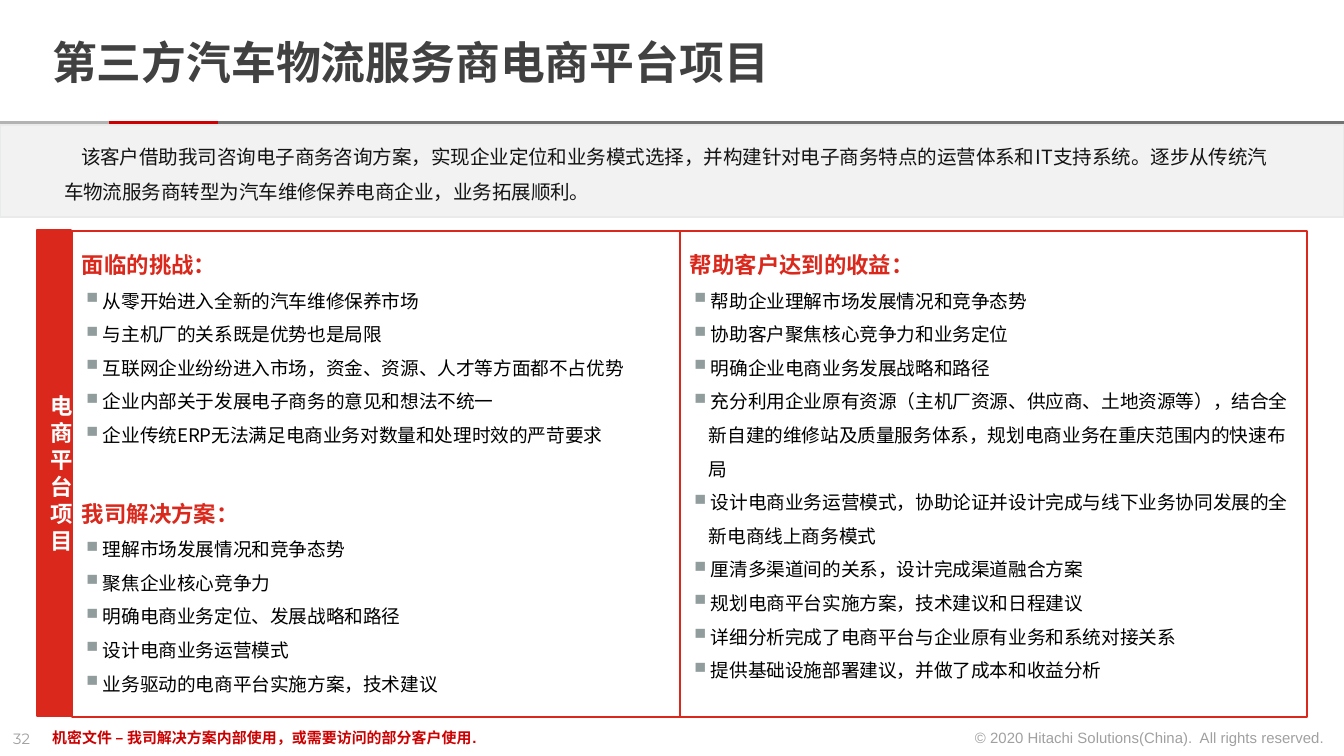
from lxml.etree import SubElement
from pptx import Presentation
from pptx.dml.color import RGBColor
from pptx.enum.shapes import MSO_SHAPE
from pptx.enum.text import MSO_ANCHOR, PP_ALIGN
from pptx.oxml.ns import qn
from pptx.util import Emu, Pt

FONT = "Noto Sans CJK SC"
RED = "DA291C"
DARK_RED = "CC0000"
GREY = "414141"
FAINT = "A0A0A0"
HEADING_PITCH = 21.6
BULLET_PITCH = 18

CHALLENGES = ("面临的挑战：", [
    "从零开始进入全新的汽车维修保养市场",
    "与主机厂的关系既是优势也是局限",
    "互联网企业纷纷进入市场，资金、资源、人才等方面都不占优势",
    "企业内部关于发展电子商务的意见和想法不统一",
    "企业传统ERP无法满足电商业务对数量和处理时效的严苛要求",
])
SOLUTION = ("我司解决方案：", [
    "理解市场发展情况和竞争态势",
    "聚焦企业核心竞争力",
    "明确电商业务定位、发展战略和路径",
    "设计电商业务运营模式",
    "业务驱动的电商平台实施方案，技术建议",
])
BENEFITS = ("帮助客户达到的收益：", [
    "帮助企业理解市场发展情况和竞争态势",
    "协助客户聚焦核心竞争力和业务定位",
    "明确企业电商业务发展战略和路径",
    "充分利用企业原有资源（主机厂资源、供应商、土地资源等），结合全新自建的维修站及质量服务体系，规划电商业务在重庆范围内的快速布局",
    "设计电商业务运营模式，协助论证并设计完成与线下业务协同发展的全新电商线上商务模式",
    "厘清多渠道间的关系，设计完成渠道融合方案",
    "规划电商平台实施方案，技术建议和日程建议",
    "详细分析完成了电商平台与企业原有业务和系统对接关系",
    "提供基础设施部署建议，并做了成本和收益分析",
])
INTRODUCTION = (
    "该客户借助我司咨询电子商务咨询方案，实现企业定位和业务模式选择，"
    "并构建针对电子商务特点的运营体系和IT支持系统。"
    "逐步从传统汽车物流服务商转型为汽车维修保养电商企业，业务拓展顺利。"
)


def px(value):
    return Emu(round(value * 914400 / 134.4))


def color(value):
    return RGBColor.from_string(value)


def format_paragraph(paragraph, size, ink, bold=False, font=FONT, align=PP_ALIGN.LEFT, pitch=None):
    paragraph.alignment = align
    if pitch:
        paragraph.line_spacing = Pt(pitch)
    for run in paragraph.runs:
        run.font.size = Pt(size)
        run.font.bold = bold
        run.font.color.rgb = color(ink)
        run.font.name = font
        SubElement(run._r.get_or_add_rPr(), qn("a:ea"), typeface=FONT)


def set_margins(text_frame, left, top, right, bottom):
    text_frame.margin_left, text_frame.margin_top = px(left), px(top)
    text_frame.margin_right, text_frame.margin_bottom = px(right), px(bottom)


def add_rectangle(slide, left, top, width, height, fill, line=None, line_width=0.75):
    shape = slide.shapes.add_shape(MSO_SHAPE.RECTANGLE, px(left), px(top), px(width), px(height))
    shape.shadow.inherit = False
    shape.fill.solid()
    shape.fill.fore_color.rgb = color(fill)
    if line:
        shape.line.color.rgb = color(line)
        shape.line.width = Pt(line_width)
    else:
        shape.line.fill.background()
    return shape


def add_text(slide, left, top, width, height, text, size, ink, wrap=True, **style):
    text_frame = slide.shapes.add_textbox(px(left), px(top), px(width), px(height)).text_frame
    text_frame.word_wrap = wrap
    text_frame.text = text
    format_paragraph(text_frame.paragraphs[0], size, ink, **style)
    return text_frame


def add_bullet(paragraph):
    properties = paragraph._p.get_or_add_pPr()
    properties.set("marL", str(px(19)))
    properties.set("indent", str(px(-19)))
    SubElement(SubElement(properties, qn("a:buClr")), qn("a:srgbClr"), val="919D9D")
    SubElement(properties, qn("a:buSzPct"), val="150000")
    SubElement(properties, qn("a:buChar"), char="▪")


def add_panel(slide, left, top, width, height, sections):
    text_frame = add_rectangle(slide, left, top, width, height, "FFFFFF", RED, 1).text_frame
    text_frame.word_wrap = True
    text_frame.vertical_anchor = MSO_ANCHOR.TOP
    set_margins(text_frame, 10, 7, 10, 5)
    for index, (heading, items) in enumerate(sections):
        paragraph = text_frame.add_paragraph() if index else text_frame.paragraphs[0]
        paragraph.text = heading
        if index:
            paragraph.space_before = Pt(HEADING_PITCH)
        format_paragraph(paragraph, 12, RED, bold=True, pitch=HEADING_PITCH)
        for item in items:
            paragraph = text_frame.add_paragraph()
            paragraph.text = item
            add_bullet(paragraph)
            format_paragraph(paragraph, 10, "000000", pitch=BULLET_PITCH)


def add_title(slide, text):
    title = slide.shapes.title
    title.left, title.top, title.width, title.height = px(39), px(17), px(1036), px(98)
    text_frame = title.text_frame
    text_frame.text = text
    text_frame.vertical_anchor = MSO_ANCHOR.MIDDLE
    set_margins(text_frame, 13, 0, 13, 0)
    paragraph = text_frame.paragraphs[0]
    format_paragraph(paragraph, 24, GREY, bold=True)
    paragraph.line_spacing = 0.85


def add_side_label(slide, text):
    text_frame = add_rectangle(slide, 37, 230, 34, 486, RED, RED).text_frame
    text_frame.word_wrap = True
    text_frame.vertical_anchor = MSO_ANCHOR.MIDDLE
    text_frame.text = text
    format_paragraph(text_frame.paragraphs[0], 12, "FFFFFF", bold=True,
                     align=PP_ALIGN.CENTER, pitch=14.4)


def add_introduction(slide):
    add_rectangle(slide, 0, 125, 1344, 92, "F2F2F2", "E9EBEB")
    text_frame = add_text(slide, 51, 125, 1238, 85, INTRODUCTION, 10.5, "141313", pitch=18.75)
    set_margins(text_frame, 13, 9, 13, 7)
    text_frame.paragraphs[0]._p.get_or_add_pPr().set("indent", str(px(17)))


def add_footer(slide):
    add_text(slide, 0, 723, 46, 32, "32", 8, FAINT, wrap=False, font="Montserrat")
    add_text(slide, 957, 722, 381, 32, "© 2020 Hitachi Solutions(China).\u00a0 All rights reserved.",
             8, FAINT, wrap=False, font="Arial", align=PP_ALIGN.RIGHT)
    add_text(slide, 39, 722, 906, 32, "机密文件 – 我司解决方案内部使用，或需要访问的部分客户使用.",
             8, DARK_RED, bold=True, font="Arial")


def main():
    presentation = Presentation()
    presentation.slide_width, presentation.slide_height = px(1344), px(756)
    slide = presentation.slides.add_slide(presentation.slide_layouts[5])
    for left, width, fill in ((218, 1126, "737373"), (109, 109, DARK_RED), (0, 109, "B3B3B3")):
        add_rectangle(slide, left, 121, width, 8, fill)
    add_footer(slide)
    add_title(slide, "第三方汽车物流服务商电商平台项目")
    add_introduction(slide)
    add_panel(slide, 72, 231, 608, 486, [CHALLENGES, SOLUTION])
    add_side_label(slide, "电商平台项目")
    add_panel(slide, 680, 231, 627, 486, [BENEFITS])
    presentation.save("out.pptx")


if __name__ == "__main__":
    main()
